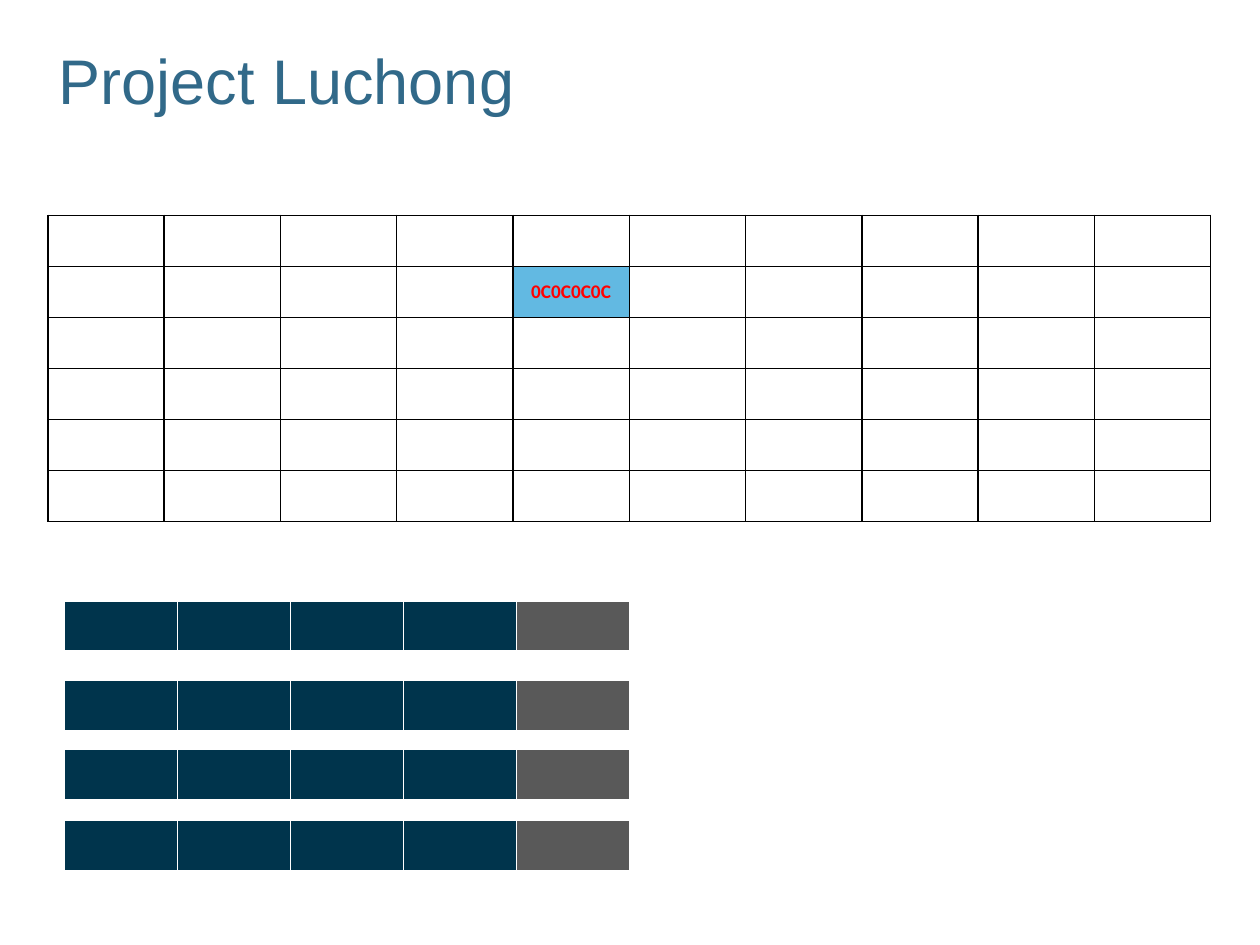
from lxml import etree
from pptx import Presentation
from pptx.dml.color import RGBColor
from pptx.enum import text
from pptx.oxml import ns
from pptx.util import Inches, Pt


def colour(hex_value):
    return RGBColor.from_string(hex_value)


def write(frame, wording, align, **font):
    """Put one formatted line of text into a frame."""
    para = frame.paragraphs[0]
    para.alignment = align
    span = para.add_run()
    span.text = wording
    span.font.color.rgb = colour(font.pop("color"))
    for name, value in font.items():
        setattr(span.font, name, value)


def set_borders(cell, hex_value, widths):
    """Draw the cell edges; widths maps L, R, T, B to points."""
    properties = cell._tc.get_or_add_tcPr()
    for side, width in widths.items():
        line = etree.SubElement(properties, ns.qn(f"a:ln{side}"), w=str(Pt(width)))
        fill = etree.SubElement(line, ns.qn("a:solidFill"))
        etree.SubElement(fill, ns.qn("a:srgbClr"), val=hex_value)


def add_title(page, box, wording):
    frame = page.shapes.add_textbox(*map(Inches, box)).text_frame
    frame.word_wrap = True
    frame.vertical_anchor = text.MSO_ANCHOR.MIDDLE
    write(frame, wording, text.PP_ALIGN.LEFT,
          name="Arial", size=Pt(36), color="316989")


def add_grid(page, box, rows, columns, border, widths, fills):
    """Add a table of equal cells; fills maps (row, column) to a colour."""
    grid = page.shapes.add_table(rows, columns, *map(Inches, box)).table
    grid.first_row = grid.horz_banding = False
    for row in range(rows):
        for column in range(columns):
            cell = grid.cell(row, column)
            set_borders(cell, border, widths)
            if (row, column) in fills:
                cell.fill.solid()
                cell.fill.fore_color.rgb = colour(fills[row, column])
            else:
                cell.fill.background()
    return grid


def add_memory(page, box):
    """Memory map with one highlighted address."""
    target = (1, 4)
    grid = add_grid(page, box, 6, 10, "000000", dict.fromkeys("LRTB", 1),
                    {target: "62B9E2"})
    cell = grid.cell(*target)
    cell.vertical_anchor = text.MSO_ANCHOR.MIDDLE
    write(cell.text_frame, "0C0C0C0C", text.PP_ALIGN.CENTER,
          name="Calibri", size=Pt(11), bold=True, color="FF0000")


def add_block(page, box):
    """Strip of four dark cells closed by a grey one."""
    shades = ["00344C"] * 4 + ["595959"]
    fills = {(0, column): shade for column, shade in enumerate(shades)}
    add_grid(page, box, 1, len(shades), "FFFFFF",
             {"L": 1, "R": 1, "T": 1, "B": 3}, fills)


deck = Presentation()
deck.slide_width, deck.slide_height = Inches(10), Inches(7.5)
page = deck.slides.add_slide(deck.slide_layouts[6])

add_title(page, (0.37, 0.3, 9.23, 0.66), "Project Luchong")
add_memory(page, (0.38, 1.71, 9.23, 2.43))
for top in (4.77, 5.4, 5.95, 6.51):
    add_block(page, (0.51, top, 4.49, 0.41))

deck.save("out.pptx")
